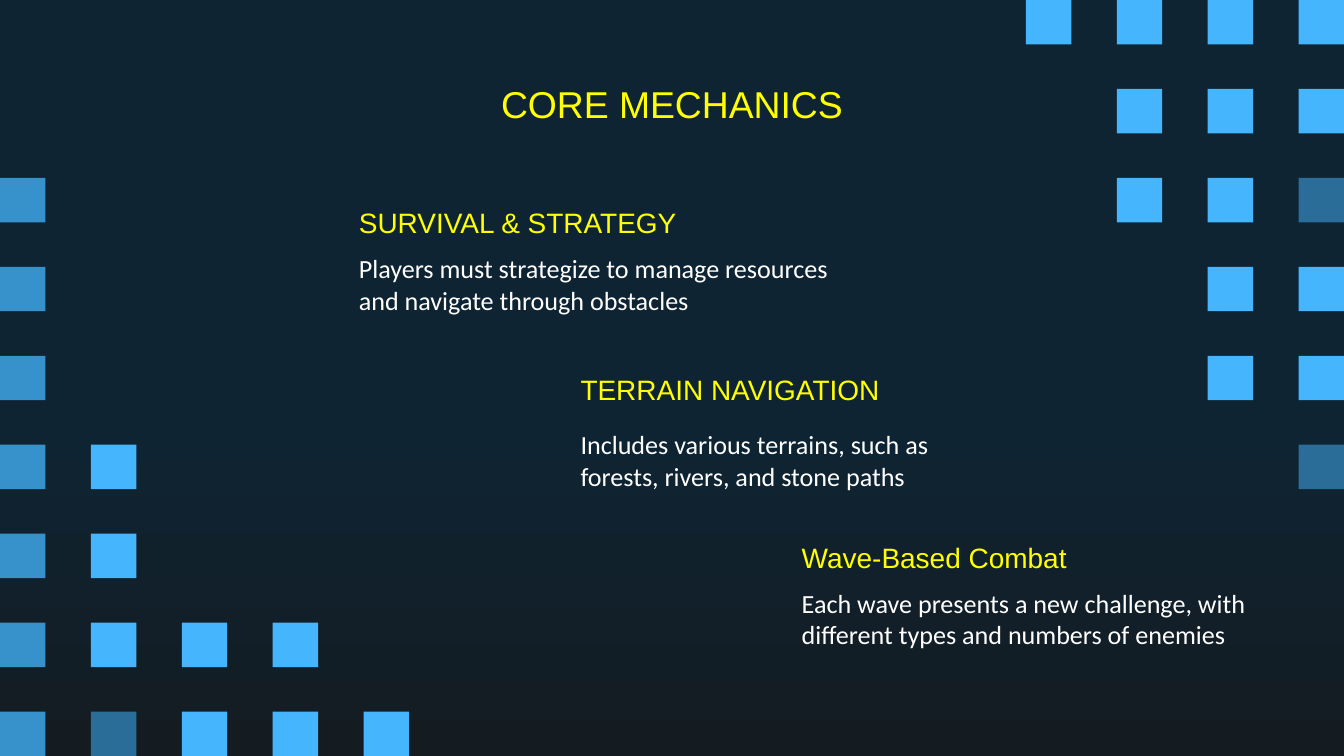
from pptx import Presentation
from pptx import util as u
from pptx.dml.color import RGBColor
from pptx.enum import shapes, text

Pt = u.Pt
YELLOW, WHITE, BRIGHT, MID, DIM = "FFFF00", "FFFFFF", "45B6FE", "3792CB", "296D98"


def colour(value):
    return RGBColor.from_string(value)


def write(box, place, words, line, align, font):
    box.left, box.top, box.width, box.height = [Pt(n) for n in place]
    frame = box.text_frame
    settings = {
        "margin_left": 0, "margin_top": 0, "margin_right": 0, "margin_bottom": 0,
        "word_wrap": True, "vertical_anchor": text.MSO_ANCHOR.TOP,
        "auto_size": text.MSO_AUTO_SIZE.SHAPE_TO_FIT_TEXT,
    }
    for name, value in settings.items():
        setattr(frame, name, value)
    para = frame.paragraphs[0]
    para.alignment = align
    para.line_spacing = Pt(line)
    span = para.add_run()
    span.text = words
    for name, value in font.items():
        if name == "color":
            span.font.color.rgb = colour(value)
        else:
            setattr(span.font, name, value)


deck = Presentation()
deck.slide_width, deck.slide_height = Pt(1440), Pt(810)
page = deck.slides.add_slide(deck.slide_layouts[5])

backdrop = page.background.fill
backdrop.gradient()
backdrop.gradient_angle = 270
for stop, position, value in zip(backdrop.gradient_stops, (0.56, 1), ("0E2433", "141C21")):
    stop.position = position
    stop.color.rgb = colour(value)

TILE_WIDTH, TILE_HEIGHT = 48.6, 47.6
COLUMN_STEP, ROW_STEP = 97.4, 95.3
left_columns = [(2, 3, 4, 5, 6, 7, 8), (5, 6, 7, 8), (7, 8), (7, 8), (8,)]
right_columns = [(0, 1, 2, 3, 4, 5), (0, 1, 2, 3, 4), (0, 1, 2), (0,)]
dim_tiles = [("left", 1, 8), ("right", 0, 2), ("right", 0, 5)]

for side, columns in (("left", left_columns), ("right", right_columns)):
    for column, rows in enumerate(columns):
        x = column * COLUMN_STEP
        if side == "right":
            x = 1440 - TILE_WIDTH - x
        for row in rows:
            tile = page.shapes.add_shape(
                shapes.MSO_SHAPE.RECTANGLE,
                Pt(x), Pt(row * ROW_STEP), Pt(TILE_WIDTH), Pt(TILE_HEIGHT))
            tile.shadow.inherit = False
            tile.line.fill.background()
            tile.fill.solid()
            if (side, column, row) in dim_tiles:
                shade = DIM
            elif side == "left" and column == 0:
                shade = MID
            else:
                shade = BRIGHT
            tile.fill.fore_color.rgb = colour(shade)

title_font = {"name": "Arial", "size": Pt(40), "color": YELLOW}
heading_font = {"name": "Arial", "size": Pt(30), "color": YELLOW}
body_font = {"name": "Calibri", "size": Pt(28), "color": WHITE}

write(page.shapes.title, (120, 87, 1200, 48), "CORE MECHANICS", 48,
      text.PP_ALIGN.CENTER, title_font)

mechanics = [
    (384.5, 220.3, 638, "SURVIVAL & STRATEGY", 270.7, 537, 67,
     "Players must strategize to manage resources and navigate through obstacles"),
    (622, 398.9, 543, "TERRAIN NAVIGATION", 459.4, 432, 67,
     "Includes various terrains, such as forests, rivers, and stone paths"),
    (859, 579, 520, "Wave-Based Combat", 629.3, 484, 100,
     "Each wave presents a new challenge, with different types and numbers of enemies"),
]
for x, heading_top, heading_width, heading, body_top, body_width, body_height, body in mechanics:
    for place, words, line, font in (
        ((x, heading_top, heading_width, 36.7), heading, 36, heading_font),
        ((x, body_top, body_width, body_height), body, 33.6, body_font),
    ):
        box = page.shapes.add_textbox(0, 0, 0, 0)
        write(box, place, words, line, text.PP_ALIGN.LEFT, font)

deck.save("out.pptx")
